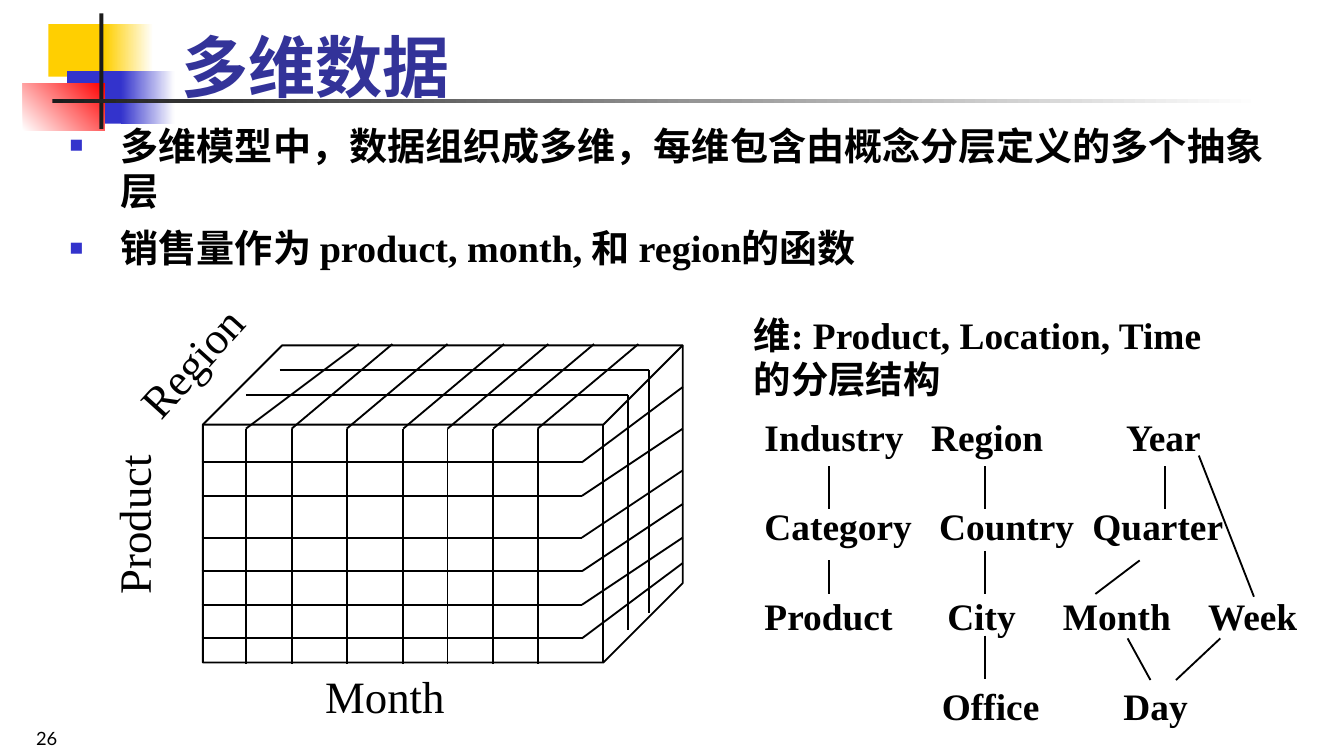
import pptx
import pptx.util
import pptx.dml.color
import pptx.enum.shapes
import pptx.enum.text
import pptx.oxml
import pptx.oxml.ns
from pptx.util import Inches

COLORS = {"black": "000000", "ink": "1C1C1C", "white": "FFFFFF", "yellow": "FFCF01",
          "blue": "3333CC", "red": "FF0000", "title": "333399"}
SERIF = "Times New Roman"
BODY = {"size": pptx.util.Pt(20.4), "name": SERIF, "bold": True}
NOTE = {"size": pptx.util.Pt(20), "name": SERIF, "bold": True}
AXIS = {"size": pptx.util.Pt(24), "name": SERIF}
TITLE = {"size": pptx.util.Pt(36), "name": SERIF, "bold": True}
NUMBER = {"size": pptx.util.Pt(9.8), "name": "Lato"}
ANCHOR = pptx.enum.text.MSO_ANCHOR
SHAPE = pptx.enum.shapes.MSO_SHAPE


def rgb(name):
    return pptx.dml.color.RGBColor.from_string(COLORS[name])


def add_xml(parent, tag, **attrs):
    el = parent.makeelement(pptx.oxml.ns.qn(tag), attrs)
    parent.append(el)
    return el


def add_block(s, box, start, end=None, angle=0):
    """Borderless rectangle, plain or with a two-colour gradient."""
    sp = s.shapes.add_shape(SHAPE.RECTANGLE, *map(Inches, box))
    sp.shadow.inherit = False
    sp.line.fill.background()
    if end is None:
        sp.fill.solid()
        sp.fill.fore_color.rgb = rgb(start)
        return
    sp.fill.gradient()
    sp.fill.gradient_angle = angle
    for stop, color, pos in zip(sp.fill.gradient_stops, (start, end), (0, 1)):
        stop.color.rgb = rgb(color)
        stop.position = pos


def add_line(s, x1, y1, x2, y2):
    ln = s.shapes.add_connector(pptx.enum.shapes.MSO_CONNECTOR.STRAIGHT,
                                *map(Inches, (x1, y1, x2, y2)))
    ln.line.color.rgb = rgb("black")
    ln.line.width = pptx.util.Pt(1)
    add_xml(ln._element.spPr, "a:effectLst")


def add_text(s, box, lines, fmt, color="black", wrap=True, anchor=ANCHOR.TOP, rotation=0):
    """Text box with one paragraph a line; returns its paragraphs."""
    sp = s.shapes.add_textbox(*map(Inches, box))
    sp.rotation = rotation
    tf = sp.text_frame
    tf.word_wrap = wrap
    tf.vertical_anchor = anchor
    if not wrap:
        tf.auto_size = pptx.enum.text.MSO_AUTO_SIZE.SHAPE_TO_FIT_TEXT
    for i, line in enumerate(lines):
        p = tf.add_paragraph() if i else tf.paragraphs[0]
        r = p.add_run()
        r.text = line
        r.font.color.rgb = rgb(color)
        for key, value in fmt.items():
            setattr(r.font, key, value)
    return tf.paragraphs


def add_bullet(p):
    p.space_before = pptx.util.Pt(6)
    pPr = p._p.get_or_add_pPr()
    pPr.set("marL", str(Inches(0.38)))
    pPr.set("indent", str(Inches(-0.38)))
    add_xml(add_xml(pPr, "a:buClr"), "a:srgbClr", val=COLORS["blue"])
    add_xml(pPr, "a:buSzPct", val="60000")
    add_xml(pPr, "a:buFont", typeface=SERIF)
    add_xml(pPr, "a:buChar", char="■")


def add_decoration(s):
    add_block(s, (0.36, 0.18, 0.48, 0.39), "yellow")
    add_block(s, (0.78, 0.18, 0.36, 0.39), "yellow", "white")
    add_block(s, (0.5, 0.53, 0.46, 0.39), "blue")
    add_block(s, (0.9, 0.53, 0.4, 0.39), "blue", "white")
    add_block(s, (0.17, 0.62, 0.61, 0.35), "white", "red", 45)
    add_block(s, (0.74, 0.1, 0.03, 0.86), "ink")
    add_block(s, (0.39, 0.74, 9, 0.03), "ink", "white")


def add_cube(s):
    sp = s.shapes.add_shape(SHAPE.CUBE, *map(Inches, (1.51, 2.57, 3.57, 2.36)))
    sp.shadow.inherit = False
    sp.fill.background()
    sp.line.color.rgb = rgb("black")
    sp.line.width = pptx.util.Pt(1)
    # Product layers: front face, then right side
    for front, back in ((3.44, 2.88), (3.69, 3.19), (4, 3.5),
                        (4.25, 3.75), (4.5, 4), (4.75, 4.19)):
        add_line(s, 1.5, front, 4.33, front)
        add_line(s, 4.33, front, 5.08, back)
    # Month columns: front face, then top
    for front, back in ((1.83, 2.67), (2.17, 2.92), (2.58, 3.33), (3, 3.75),
                        (3.33, 4.08), (3.67, 4.42), (4, 4.75)):
        add_line(s, front, 3.19, front, 4.94)
        add_line(s, front, 3.19, back, 2.56)
    # Region slices: top, then right side
    for left, right, top, bottom in ((2.08, 4.83, 2.75, 4.56), (1.83, 4.67, 2.94, 4.69)):
        add_line(s, left, top, right, top)
        add_line(s, right, top, right, bottom)
    # Axis names
    add_text(s, (0.37, 3.65, 1.24, 0.5), ["Product"], AXIS, wrap=False, rotation=270)
    add_text(s, (0.83, 2.41, 1.24, 0.5), ["Region"], AXIS, rotation=312)
    add_text(s, (2.32, 4.93, 1.09, 0.5), ["Month"], AXIS, wrap=False)


def add_hierarchy(s):
    add_text(s, (5.51, 2.27, 3.62, 0.77),
             ["维: Product, Location, Time", "的分层结构"], NOTE, wrap=False)
    # Levels, each with its tab stops
    levels = (("Industry\tRegion\tYear", (1.24, 2.69)),
              ("Category\tCountry\tQuarter", (1.3, 2.44)),
              ("Product\tCity\tMonth\tWeek", (1.36, 2.22, 3.3)),
              ("\tOffice\tDay", (1.32, 2.67)))
    paragraphs = add_text(s, (5.59, 3.03, 4.2, 2.44), [text for text, _ in levels], NOTE)
    for i, (p, (_, stops)) in enumerate(zip(paragraphs, levels)):
        p.line_spacing = pptx.util.Pt(24)
        p.space_before = pptx.util.Pt(24 if i else 0)
        tabs = add_xml(p._p.get_or_add_pPr(), "a:tabLst")
        for stop in stops:
            add_xml(tabs, "a:tab", pos=str(Inches(stop)), algn="l")
    # Links between levels
    for x in (6.17, 7.33, 8.67):
        add_line(s, x, 3.47, x, 3.79)
    for link in ((6.17, 4.17, 6.17, 4.42), (7.33, 4.1, 7.33, 4.42),
                 (7.33, 4.73, 7.33, 5.05), (8.48, 4.17, 8.15, 4.42),
                 (8.92, 3.39, 9.33, 4.44), (8.39, 4.75, 8.56, 5.06),
                 (9.08, 4.75, 8.75, 5.06)):
        add_line(s, *link)


def main():
    prs = pptx.Presentation()
    # Widescreen, 16:9
    prs.slide_width, prs.slide_height = Inches(10), Inches(10 * 9 / 16)
    s = prs.slides.add_slide(prs.slide_layouts[6])
    add_decoration(s)
    # Slide number, title and bullets
    number = add_text(s, (0.17, 5.31, 2.75, 0.31), ["26"], NUMBER, anchor=ANCHOR.BOTTOM)
    number[0].line_spacing = 0.8
    add_text(s, (1.25, 0.21, 8.52, 0.63), ["多维数据"], TITLE, "title", anchor=ANCHOR.BOTTOM)
    for p in add_text(s, (0.42, 0.86, 9.33, 1.13),
                      ["多维模型中，数据组织成多维，每维包含由概念分层定义的多个抽象层",
                       "销售量作为 product, month, 和 region的函数"], BODY):
        add_bullet(p)
    add_cube(s)
    add_hierarchy(s)
    prs.save("out.pptx")


if __name__ == "__main__":
    main()
